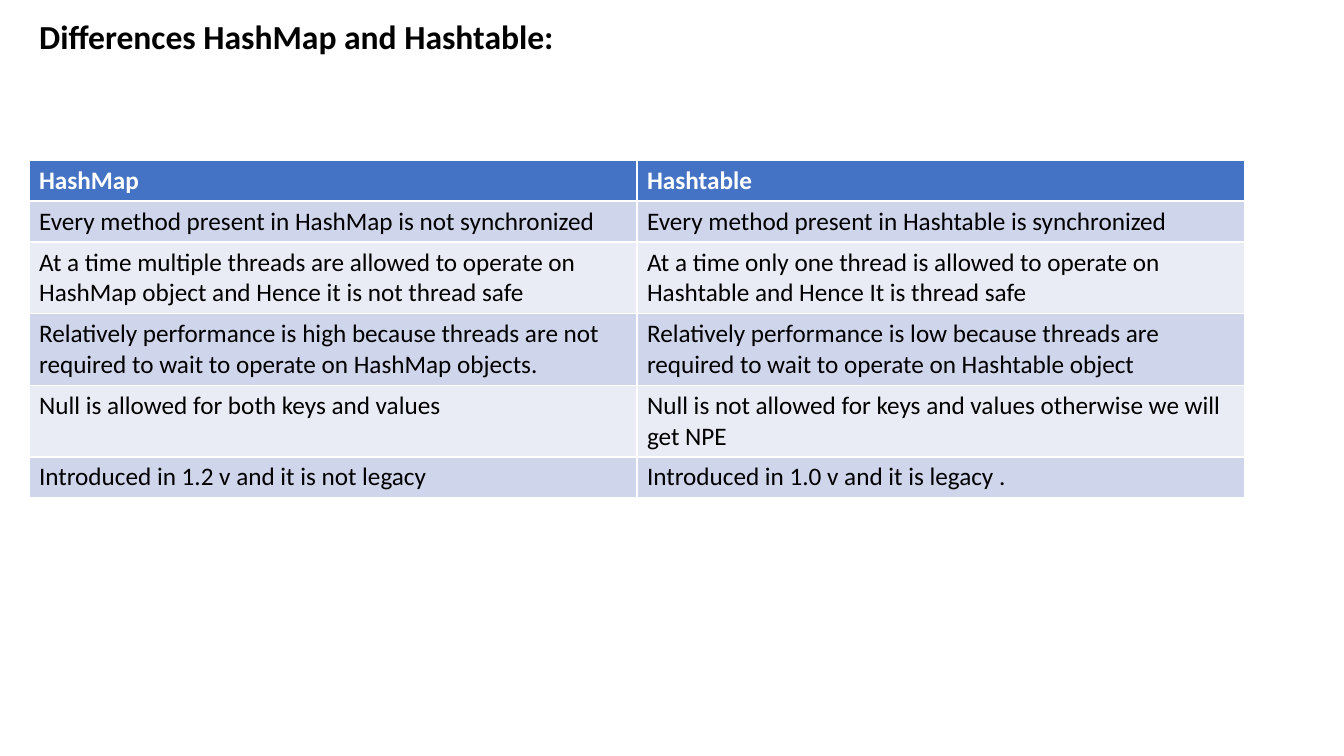
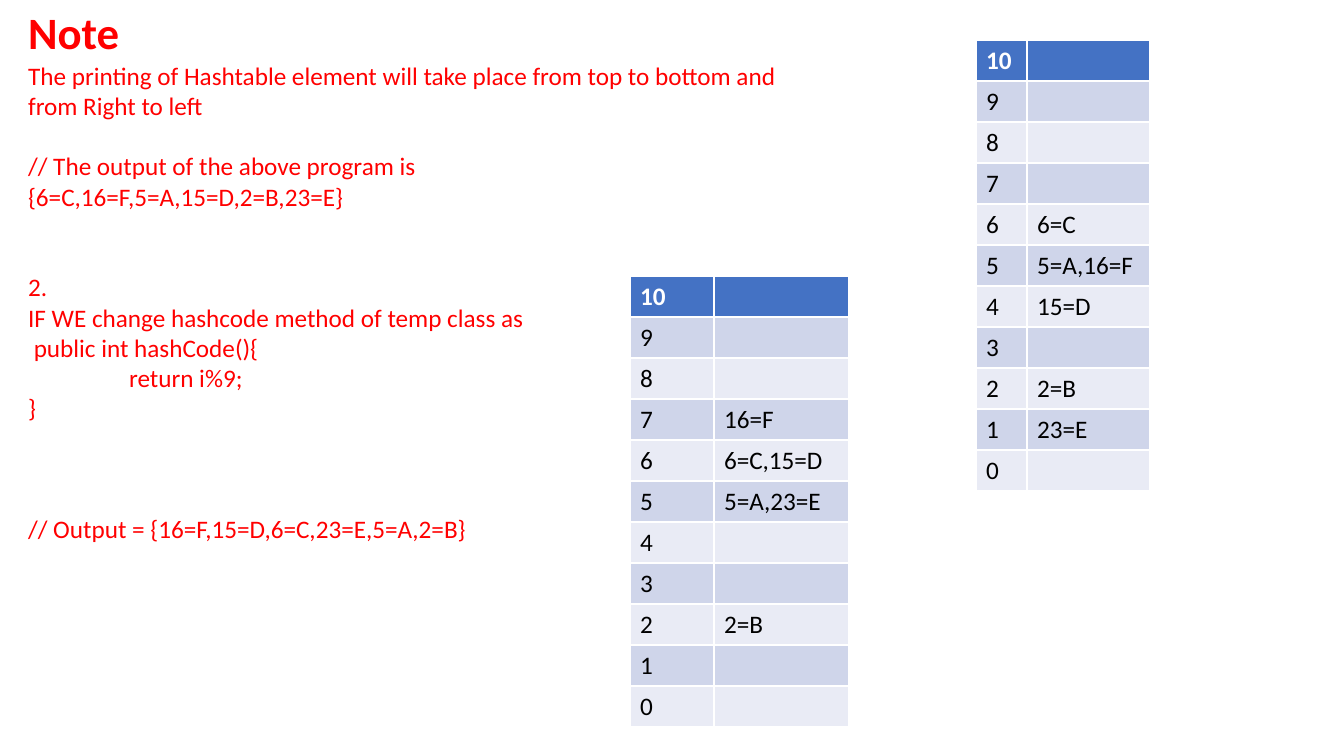
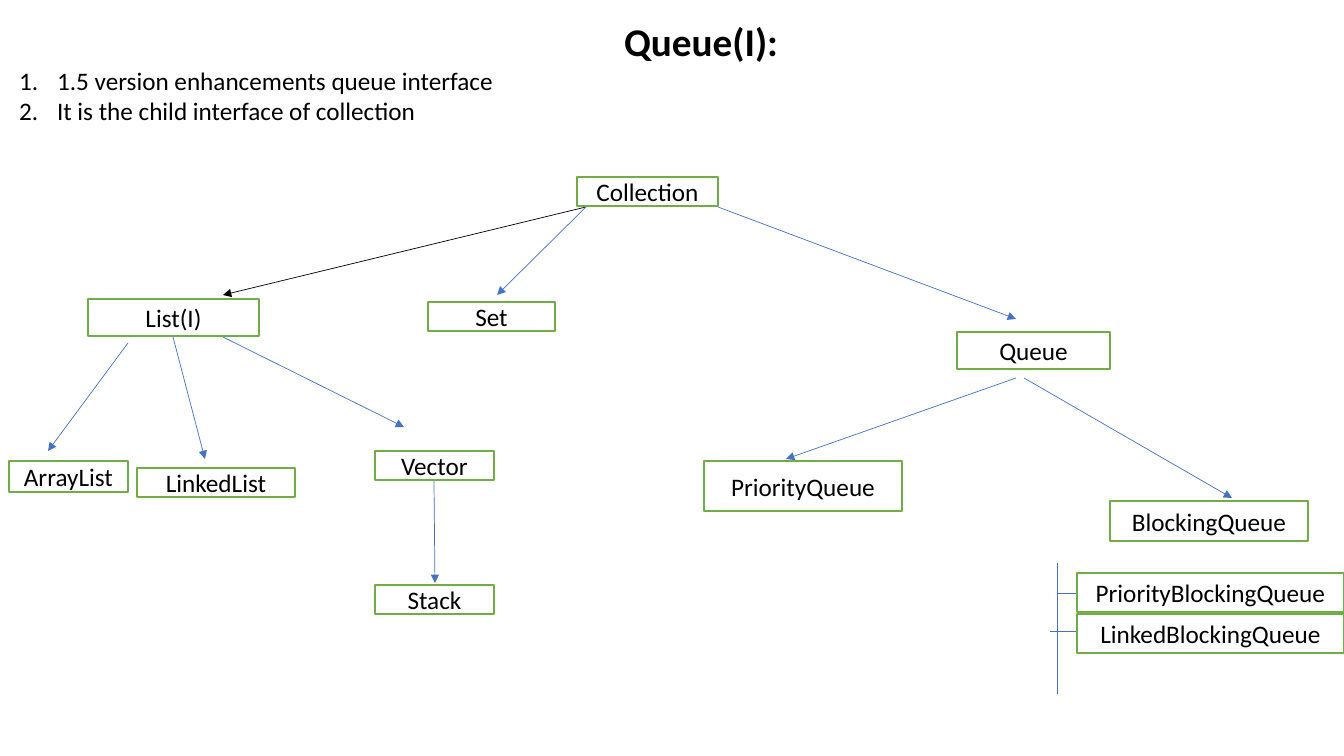
from pptx import Presentation
from pptx.dml.color import RGBColor
from pptx.enum.shapes import MSO_CONNECTOR, MSO_SHAPE
from pptx.enum.text import MSO_ANCHOR, MSO_AUTO_SIZE, PP_ALIGN
from pptx.oxml.ns import qn
from pptx.util import Pt
from lxml import etree

PX = 9071  # EMU in one pixel
RECT, LINE = MSO_SHAPE.RECTANGLE, MSO_CONNECTOR.STRAIGHT
TOP, MIDDLE = MSO_ANCHOR.TOP, MSO_ANCHOR.MIDDLE
LEFT, CENTER = PP_ALIGN.LEFT, PP_ALIGN.CENTER
FIXED = MSO_AUTO_SIZE.NONE
FONT = "Calibri"
BLACK, WHITE, RED = "000000", "FFFFFF", "FF0000"
BLUE, GREEN = "4472C4", "70AD47"
BANDS = ["E9EBF5", "CFD5EA"]
STEP = 21.6  # height of one 18 point line
rgb = RGBColor.from_string


def write(frame, lines, size=18, color=BLACK, bold=False, align=LEFT,
          anchor=TOP, number=False, gaps={}, tabs={}):
    """Fill a frame; gaps and tabs map a line to its space above or indent."""
    frame.vertical_anchor = anchor
    for i, line in enumerate(lines):
        para = frame.paragraphs[0] if i == 0 else frame.add_paragraph()
        para.text = line
        para.alignment = align
        para.space_before = Pt(gaps.get(i, 0))
        font = para.font
        font.name, font.size, font.bold = FONT, Pt(size), bold
        font.color.rgb = rgb(color)
        for run in para.runs:
            run.font.name, run.font.size, run.font.bold = FONT, Pt(size), bold
            run.font.color.rgb = rgb(color)
        props = para._p.get_or_add_pPr()
        hang = 38 * PX if number else 0
        props.set("marL", str(hang + tabs.get(i, 0) * PX))
        props.set("indent", str(-hang))
        if number:
            etree.SubElement(props, qn("a:buAutoNum"), type="arabicPeriod")
        else:
            etree.SubElement(props, qn("a:buNone"))


def grid(slide, left, top, widths, high, rows):
    """Add a table with a blue head and banded rows."""
    table = slide.shapes.add_table(
        len(rows), len(widths), left * PX, top * PX,
        sum(widths) * PX, high * len(rows) * PX).table
    for col, width in zip(table.columns, widths):
        col.width = width * PX
    for r, row in enumerate(rows):
        for c, words in enumerate(row):
            cell = table.cell(r, c)
            cell.fill.solid()
            cell.fill.fore_color.rgb = rgb(BANDS[r % 2] if r else BLUE)
            write(cell.text_frame, [words], bold=r == 0,
                  color=BLACK if r else WHITE)


deck = Presentation()
deck.slide_width, deck.slide_height = 1344 * PX, 756 * PX

# Titles and lists: box, lines and format of each placeholder
note = [
    "The printing of Hashtable element will take place from top to bottom and"
    "\vfrom Right to left",
    "// The output of the above program is",
    "{6=C,16=F,5=A,15=D,2=B,23=E}",
    "2.",
    "IF WE change hashcode method of temp class as",
    " public int hashCode(){",
    "return i%9;",
    "}",
    "// Output = {16=F,15=D,6=C,23=E,5=A,2=B}",
]
facts = ["1.5 version enhancements queue interface",
         "It is the child interface of collection"]
plans = [
    [((29, 11, 1292, 82), ["Differences HashMap and Hashtable:"],
      dict(size=24, bold=True))],
    [((18, 0, 600, 60), ["Note"], dict(size=32, color=RED, bold=True)),
     ((18, 55, 1306, 529), note,
      dict(color=RED, gaps={1: STEP, 3: 2 * STEP, 8: 3 * STEP},
           tabs={6: 101}))],
    [((614, 12, 400, 52), ["Queue(I):"], dict(size=28, bold=True)),
     ((9, 60, 1325, 71), facts, dict(number=True))],
]
slides = []
for plan in plans:
    layout = deck.slide_layouts[1 if len(plan) == 2 else 5]
    slide = deck.slides.add_slide(layout)
    slides.append(slide)
    for holder, (box, lines, style) in zip(slide.placeholders, plan):
        holder.left, holder.top, holder.width, holder.height = [
            n * PX for n in box]
        holder.text_frame.auto_size = FIXED
        holder.text_frame.word_wrap = True
        write(holder.text_frame, lines, **style)
versus, buckets, tree = slides

# Comparison table
grid(versus, 29, 160, [608, 608], 41, [
    ("HashMap", "Hashtable"),
    ("Every method present in HashMap is not synchronized",
     "Every method present in Hashtable is synchronized"),
    ("At a time multiple threads are allowed to operate on HashMap object "
     "and Hence it is not thread safe",
     "At a time only one thread is allowed to operate on Hashtable and "
     "Hence It is thread safe"),
    ("Relatively performance is high because threads are not required to "
     "wait to operate on HashMap objects.",
     "Relatively performance is low because threads are required to wait "
     "to operate on Hashtable object"),
    ("Null is allowed for both keys and values",
     "Null is not allowed for keys and values otherwise we will get NPE"),
    ("Introduced in 1.2 v and it is not legacy",
     "Introduced in 1.0 v and it is legacy ."),
])

# Bucket tables, counted down from 10 to 0
for left, top, widths, held in [
    (976, 40, [51, 123],
     {6: "6=C", 5: "5=A,16=F", 4: "15=D", 2: "2=B", 1: "23=E"}),
    (630, 276, [84, 135],
     {7: "16=F", 6: "6=C,15=D", 5: "5=A,23=E", 2: "2=B"}),
]:
    rows = [(str(n), held.get(n, "")) for n in range(10, -1, -1)]
    grid(buckets, left, top, widths, 41, rows)

# Tree links: start, end, colour, arrow
for x1, y1, x2, y2, color, arrow in [
    (586, 207, 223, 295, BLACK, True),
    (586, 207, 497, 295, BLUE, True),
    (718, 207, 1016, 319, BLUE, True),
    (128, 343, 48, 451, BLUE, True),
    (173, 337, 205, 459, BLUE, True),
    (223, 337, 404, 427, BLUE, True),
    (434, 480, 435, 583, BLUE, True),
    (1016, 378, 786, 459, BLUE, True),
    (1024, 378, 1232, 498, BLUE, True),
    (1057, 563, 1057, 694, BLUE, False),
    (1057, 593, 1094, 593, BLUE, False),
    (1050, 631, 1102, 631, BLUE, False),
]:
    link = tree.shapes.add_connector(
        LINE, x1 * PX, y1 * PX, x2 * PX, y2 * PX)
    link.line.color.rgb = rgb(color)
    link.line.width = Pt(0.5)
    if arrow:
        etree.SubElement(link.line._get_or_add_ln(), qn("a:tailEnd"),
                         type="triangle")
    etree.SubElement(link._element.spPr, qn("a:effectLst"))

# Tree boxes
for name, *box in [
    ("Collection", 577, 177, 141, 29),
    ("List(I)", 88, 299, 171, 37),
    ("Set", 428, 302, 127, 29),
    ("Queue", 957, 332, 153, 37),
    ("ArrayList", 9, 461, 119, 31),
    ("LinkedList", 137, 468, 158, 29),
    ("Vector", 375, 451, 119, 29),
    ("Stack", 375, 585, 119, 29),
    ("PriorityQueue", 704, 461, 198, 50),
    ("BlockingQueue", 1110, 501, 198, 40),
    ("PriorityBlockingQueue", 1077, 573, 267, 39),
    ("LinkedBlockingQueue", 1077, 614, 267, 39),
]:
    node = tree.shapes.add_shape(RECT, *[n * PX for n in box])
    node.shadow.inherit = False
    node.fill.solid()
    node.fill.fore_color.rgb = rgb(WHITE)
    node.line.color.rgb = rgb(GREEN)
    node.line.width = Pt(1)
    write(node.text_frame, [name], align=CENTER, anchor=MIDDLE)

deck.save("out.pptx")
